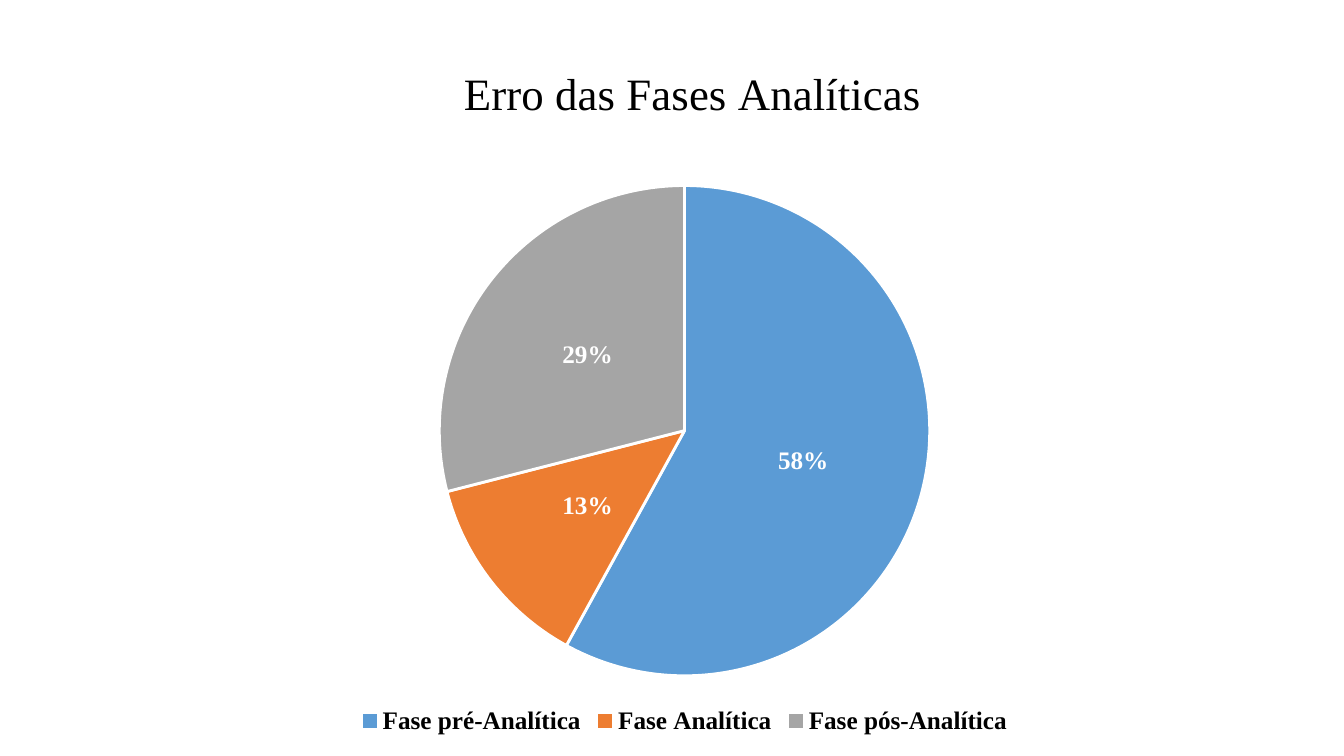
from pptx import Presentation
from pptx.chart.data import CategoryChartData
from pptx.dml.color import RGBColor
from pptx.enum.chart import XL_CHART_TYPE, XL_LABEL_POSITION, XL_LEGEND_POSITION
from pptx.oxml import parse_xml
from pptx.oxml.ns import nsdecls, qn
from pptx.util import Inches, Pt

PIE = XL_CHART_TYPE.PIE
CENTER = XL_LABEL_POSITION.CENTER
BOTTOM = XL_LEGEND_POSITION.BOTTOM

BLACK = RGBColor(0x00, 0x00, 0x00)
WHITE = RGBColor(0xFF, 0xFF, 0xFF)
BLUE = RGBColor(0x5B, 0x9B, 0xD5)
ORANGE = RGBColor(0xED, 0x7D, 0x31)
GRAY = RGBColor(0xA5, 0xA5, 0xA5)

PHASES = {
    "Fase pré-Analítica": (0.58, BLUE),
    "Fase Analítica": (0.13, ORANGE),
    "Fase pós-Analítica": (0.29, GRAY),
}


def manual_layout(target=None, **sizes):
    """Return a c:layout element with the given chart fractions."""
    inner = f'<c:layoutTarget val="{target}"/>' if target else ""
    inner += '<c:xMode val="edge"/><c:yMode val="edge"/>'
    inner += "".join(f'<c:{key} val="{val}"/>' for key, val in sizes.items())
    return parse_xml(f'<c:layout {nsdecls("c")}><c:manualLayout>{inner}'
                     '</c:manualLayout></c:layout>')


def set_layout(parent, index, layout):
    """Replace the layout of a chart part, placing it at a child index."""
    for old in parent.findall(qn("c:layout")):
        parent.remove(old)
    parent.insert(index, layout)


class SlideBuilder:
    """Holds the style and the current slide."""

    font_name = "Times New Roman"

    def __init__(self, prs):
        """Add a blank slide with a white background."""
        self.s = prs.slides.add_slide(prs.slide_layouts[6])
        fill = self.s.background.fill
        fill.solid()
        fill.fore_color.rgb = WHITE

    def style(self, font, size, color, bold):
        """Apply the slide's typeface to a font."""
        font.name = self.font_name
        font.size = Pt(size)
        font.color.rgb = color
        font.bold = bold

    def pie(self, left, top, width, height, phases):
        """Add a pie chart with percentage labels and a bottom legend."""
        data = CategoryChartData(number_format="0%")
        data.categories = list(phases)
        data.add_series("Series 1", [value for value, _ in phases.values()])
        chart = self.s.shapes.add_chart(
            PIE, Inches(left), Inches(top), Inches(width), Inches(height), data
        ).chart
        chart.font.name = "Calibri"
        chart.font.size = Pt(10)
        chart.font.color.rgb = BLACK

        plot = chart.plots[0]
        plot.vary_by_categories = True
        for i, (_, color) in enumerate(phases.values()):
            fmt = plot.series[0].points[i].format
            fmt.fill.solid()
            fmt.fill.fore_color.rgb = color
            fmt.line.color.rgb = WHITE
            fmt.line.width = Pt(2)

        labels = plot.series[0].data_labels
        labels.show_value = True
        labels.number_format = "0%"
        labels.number_format_is_linked = False
        labels.position = CENTER
        self.style(labels.font, 18, WHITE, True)

        chart.has_legend = True
        chart.legend.position = BOTTOM
        chart.legend.include_in_layout = False
        self.style(chart.legend.font, 18, BLACK, True)
        return chart

    def chart_title(self, chart, text, size):
        """Give the chart a title."""
        chart.has_title = True
        tf = chart.chart_title.text_frame
        tf.text = text
        self.style(tf.paragraphs[0].runs[0].font, size, BLACK, False)


prs = Presentation()
prs.slide_width = Inches(13.33)
prs.slide_height = Inches(7.5)

slide = SlideBuilder(prs)
chart = slide.pie(1.63, 0.29, 10.32, 7.05, PHASES)
slide.chart_title(chart, "Erro das Fases Analíticas", 32)

title = chart.chart_title._element
set_layout(title, 1, manual_layout(x=0.28, y=0.04))
plot_area = chart._chartSpace.chart.plotArea
set_layout(plot_area, 0, manual_layout("inner", x=0.26, y=0.22, w=0.48, h=0.69))

prs.save("out.pptx")
